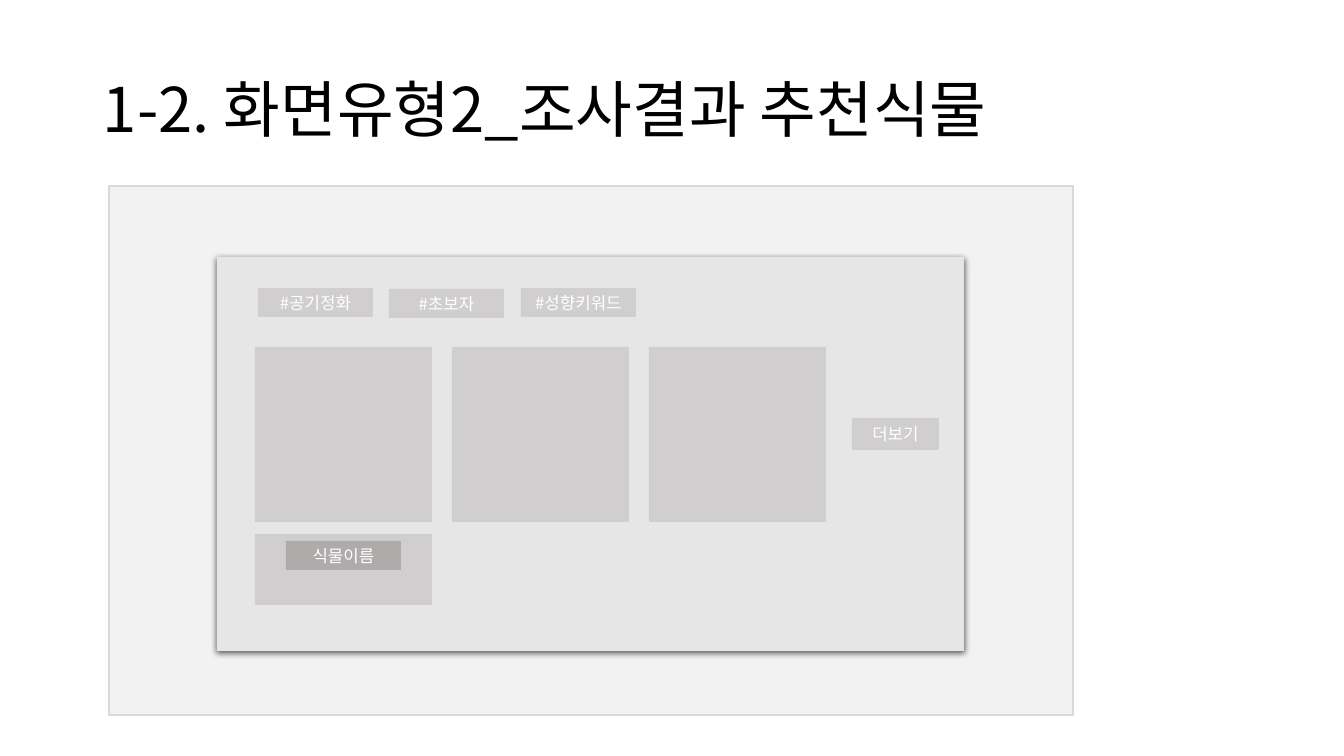
import pptx
import pptx.dml.color
import pptx.enum.shapes
import pptx.enum.text
import pptx.oxml
import pptx.oxml.ns
import pptx.util

PX = 914400 / 100.8
FONT = "Noto Sans CJK KR"
COLORS = {
    "text": "000000",
    "label": "FFFFFF",
    "frame": "F2F2F2",
    "border": "D9D9D9",
    "panel": "E7E6E6",
    "block": "D0CECE",
    "name": "AFABAB",
}


def write(box, text, size, color):
    """Put one vertically centred line of text in a box and return its paragraph."""
    box.text_frame.word_wrap = True
    box.text_frame.vertical_anchor = pptx.enum.text.MSO_ANCHOR.MIDDLE
    para = box.text_frame.paragraphs[0]
    span = para.add_run()
    span.text = text
    span.font.size = pptx.util.Pt(size)
    span.font.name = FONT
    span.font.color.rgb = pptx.dml.color.RGBColor.from_string(COLORS[color])
    east_asian = pptx.oxml.parse_xml(
        f'<a:ea {pptx.oxml.ns.nsdecls("a")} typeface="{FONT}"/>')
    span.font._element.append(east_asian)
    return para


def add_block(left, top, width, height, fill, label=""):
    """Draw a flat rectangle, with a small centred label if one is given."""
    box = page.shapes.add_shape(
        pptx.enum.shapes.MSO_SHAPE.RECTANGLE,
        *(round(n * PX) for n in (left, top, width, height)))
    box.shadow.inherit = False
    box.fill.solid()
    box.fill.fore_color.rgb = pptx.dml.color.RGBColor.from_string(COLORS[fill])
    box.line.fill.background()
    if label:
        box.text_frame.margin_left = box.text_frame.margin_right = 0
        para = write(box, label, 12, "label")
        para.alignment = pptx.enum.text.PP_ALIGN.CENTER
    return box


deck = pptx.Presentation()
deck.slide_width = round(1344 * PX)
deck.slide_height = round(756 * PX)
page = deck.slides.add_slide(deck.slide_layouts[6])

title = page.shapes.add_textbox(*(round(n * PX) for n in (93, 40, 1159, 146)))
write(title, "1-2. 화면유형2_조사결과 추천식물", 44, "text").line_spacing = 0.9

frame = add_block(109, 186, 964, 529, "frame")
frame.line.color.rgb = pptx.dml.color.RGBColor.from_string(COLORS["border"])
frame.line.width = pptx.util.Pt(1)

panel = add_block(217, 257, 747, 394, "panel")
effects = panel._element.spPr.find(pptx.oxml.ns.qn("a:effectLst"))
effects.append(pptx.oxml.parse_xml(
    f'<a:outerShdw {pptx.oxml.ns.nsdecls("a")} blurRad="{pptx.util.Pt(4.5)}" '
    f'dist="{pptx.util.Pt(1.5)}" dir="5400000" algn="t" rotWithShape="0">'
    '<a:srgbClr val="000000"><a:alpha val="63000"/></a:srgbClr></a:outerShdw>'))

tags = [(258, 288, "#공기정화"), (389, 289, "#초보자"), (521, 288, "#성향키워드")]
for left, top, keyword in tags:
    add_block(left, top, 115, 29, "block", keyword)

for column in range(3):
    add_block(255 + 197 * column, 347, 177, 175, "block")

add_block(852, 418, 87, 32, "block", "더보기")
add_block(255, 534, 177, 71, "block")
add_block(286, 541, 115, 29, "name", "식물이름")

deck.save("out.pptx")
